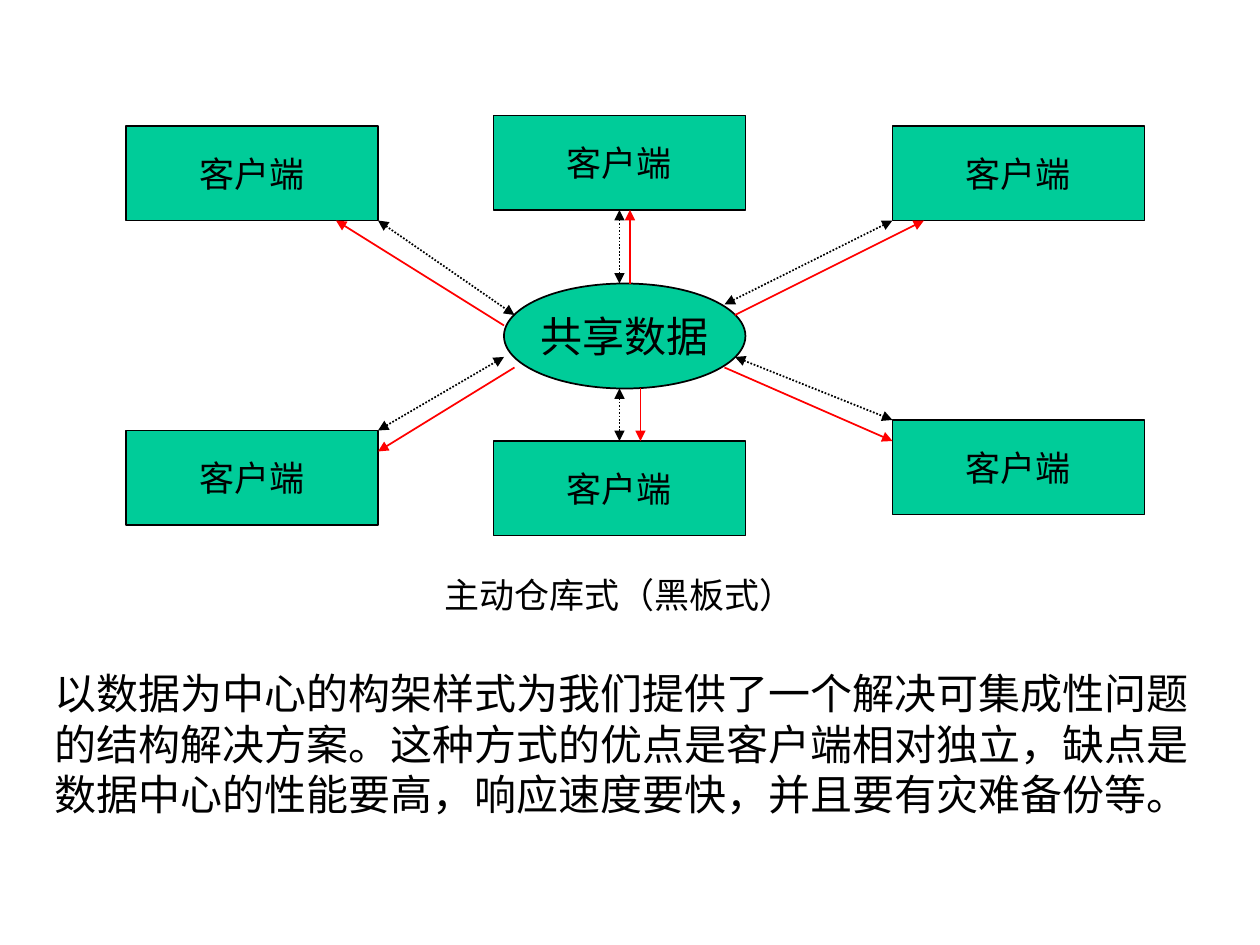
import pptx
import pptx.util
import pptx.dml.color
import pptx.enum.dml
import pptx.enum.shapes
import pptx.enum.text
from lxml import etree

Pt = pptx.util.Pt
SHAPE = pptx.enum.shapes.MSO_SHAPE
ALIGN = pptx.enum.text.PP_ALIGN
DOT = pptx.enum.dml.MSO_LINE.ROUND_DOT

# Content
FONT, GREEN, BLACK, RED = "Times New Roman", "00CC99", "000000", "FF0000"
HUB = ("共享数据", 288, 162, 138, 60)
CLIENT, WIDE, HIGH = "客户端", 144, 54
CLIENTS = {
    "top left": (72, 72), "low left": (72, 246), "top": (282, 66),
    "top right": (510, 72), "low": (282, 252), "low right": (510, 240),
}
# Two-way access: x1, y1, x2, y2
ACCESS = [
    (216, 126, 294, 180), (354, 120, 354, 162), (354, 222, 354, 252),
    (216, 246, 288, 204), (414, 174, 510, 126), (420, 204, 510, 240),
]
# Notices sent from the hub to each client
NOTICES = [
    (288, 186, 192, 126), (360, 162, 360, 120), (294, 210, 216, 258),
    (366, 222, 366, 252), (414, 210, 510, 252), (420, 180, 528, 126),
]
CAPTION = "主动仓库式（黑板式）"
NOTE = ("以数据为中心的构架样式为我们提供了一个解决可集成性问题的结构解决方案。"
        "这种方式的优点是客户端相对独立，缺点是数据中心的性能要高，"
        "响应速度要快，并且要有灾难备份等。")

deck = pptx.Presentation()
deck.slide_width, deck.slide_height = Pt(720), Pt(540)
slide = deck.slides.add_slide(deck.slide_layouts[6])
shapes = slide.shapes


def color(code):
    return pptx.dml.color.RGBColor.from_string(code)


def write(shape, text, size, align, wrap):
    frame = shape.text_frame
    frame.text = text
    frame.word_wrap = wrap
    para = frame.paragraphs[0]
    para.alignment = align
    font = para.runs[0].font
    font.name, font.size = FONT, Pt(size)
    font.color.rgb = color(BLACK)


def node(kind, text, size, *place):
    shape = shapes.add_shape(kind, *map(Pt, place))
    shape.shadow.inherit = False
    shape.fill.solid()
    shape.fill.fore_color.rgb = color(GREEN)
    shape.line.color.rgb = color(BLACK)
    shape.line.width = Pt(1)
    write(shape, text, size, ALIGN.CENTER, False)
    return shape


def arrow(ends, code, tips, dash=None):
    link = shapes.add_connector(
        pptx.enum.shapes.MSO_CONNECTOR.STRAIGHT, *map(Pt, ends))
    link.line.color.rgb = color(code)
    link.line.width = Pt(1)
    if dash:
        link.line.dash_style = dash
    line = link.line._get_or_add_ln()
    space = pptx.oxml.ns.qn("a:headEnd").split("}")[0] + "}"
    for tip in tips:
        etree.SubElement(line, space + tip, type="triangle")
    etree.SubElement(link._element.spPr, space + "effectLst")
    return link


def label(text, size, align, *place):
    box = shapes.add_textbox(*map(Pt, place))
    write(box, text, size, align, True)


# Hub and clients
node(SHAPE.OVAL, HUB[0], 24, *HUB[1:])
boxes = {name: node(SHAPE.RECTANGLE, CLIENT, 20, *spot, WIDE, HIGH)
         for name, spot in CLIENTS.items()}

# Arrows
links = [arrow(ends, BLACK, ("headEnd", "tailEnd"), DOT) for ends in ACCESS]
links[1].begin_connect(boxes["top"], 2)
links[2].end_connect(boxes["low"], 0)
for ends in NOTICES:
    arrow(ends, RED, ("tailEnd",))

# Caption and note
label(CAPTION, 20, ALIGN.CENTER, 204, 324, 300, 31.5)
label(NOTE, 24, ALIGN.LEFT, 24, 378, 672, 93.6)

deck.save("out.pptx")
